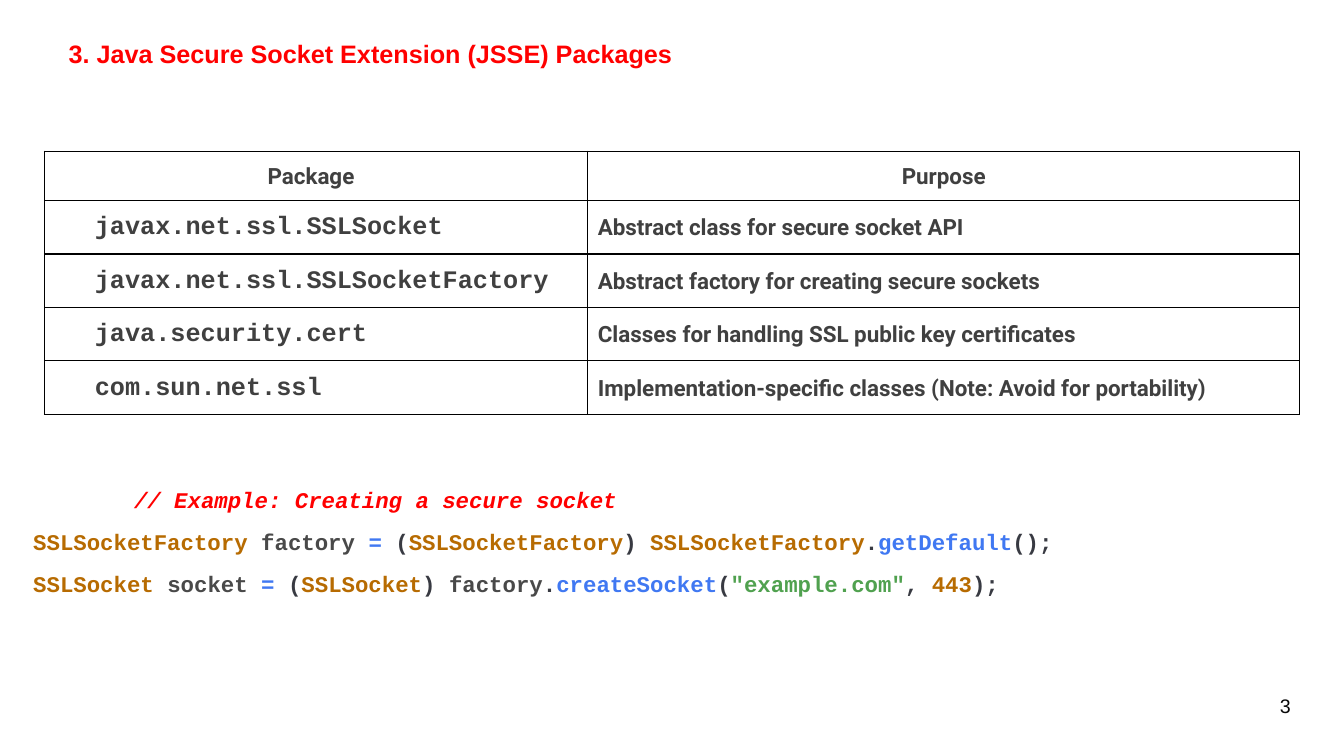
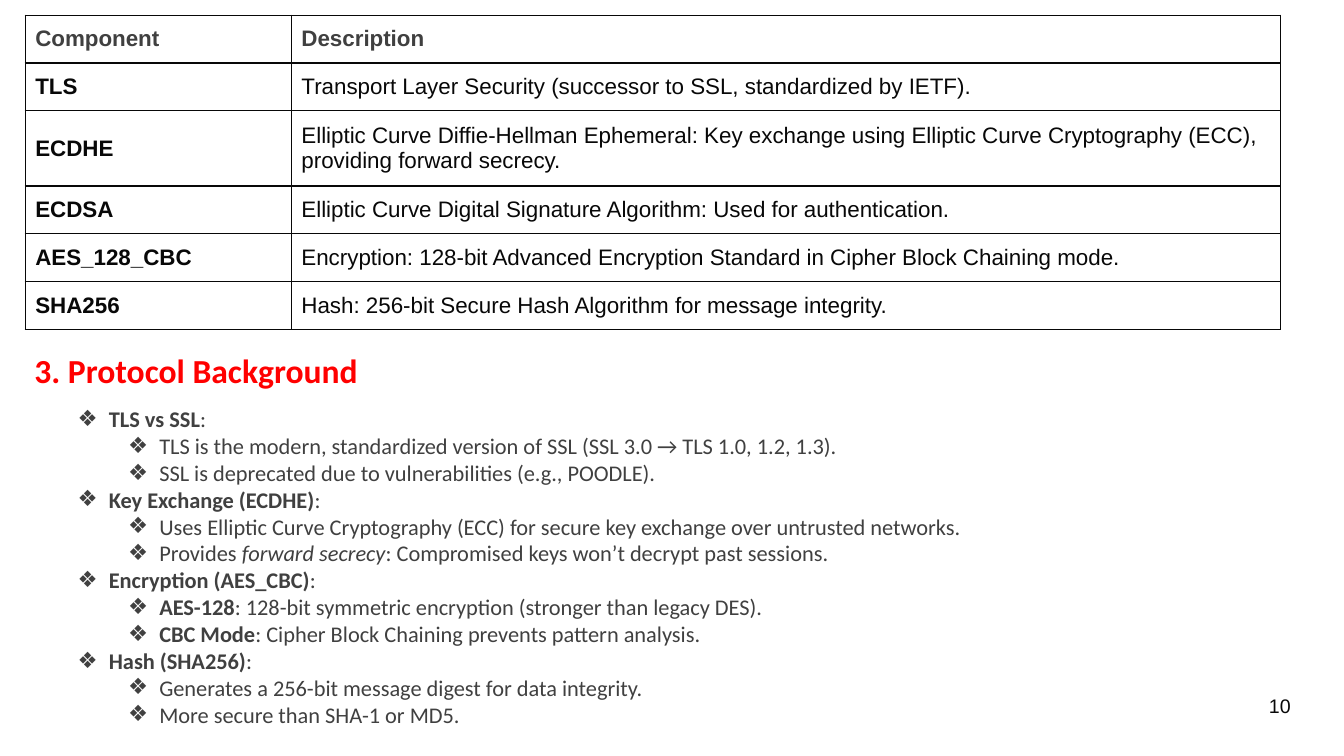
from lxml import etree
from pptx import Presentation
from pptx.dml.color import RGBColor
from pptx.enum import text
from pptx.oxml.ns import qn
from pptx.util import Inches, Pt

RED = RGBColor(0xFF, 0x00, 0x00)
BLACK = RGBColor(0x00, 0x00, 0x00)
INK = RGBColor(0x08, 0x08, 0x08)
GREY = RGBColor(0x40, 0x40, 0x40)
WHITE = RGBColor(0xFF, 0xFF, 0xFF)
TYPE = RGBColor(0xB7, 0x6B, 0x01)
NAME = RGBColor(0x49, 0x49, 0x49)
CALL = RGBColor(0x40, 0x78, 0xF2)
MARK = RGBColor(0x38, 0x3A, 0x42)
STRING = RGBColor(0x50, 0xA1, 0x4F)

PACKAGES = [
    ("Package", "Purpose"),
    ("javax.net.ssl.SSLSocket", "Abstract class for secure socket API"),
    ("javax.net.ssl.SSLSocketFactory", "Abstract factory for creating secure sockets"),
    ("java.security.cert", "Classes for handling SSL public key certificates"),
    ("com.sun.net.ssl", "Implementation-specific classes (Note: Avoid for portability)"),
]

CODE = [
    [("// Example: Creating a secure socket", RED)],
    [("SSLSocketFactory", TYPE), (" factory ", NAME), ("= ", CALL), ("(", MARK),
     ("SSLSocketFactory", TYPE), (") ", MARK), ("SSLSocketFactory", TYPE),
     (".", MARK), ("getDefault", CALL), ("();", MARK)],
    [("SSLSocket", TYPE), (" socket ", NAME), ("= ", CALL), ("(", MARK),
     ("SSLSocket", TYPE), (") ", MARK), ("factory", NAME), (".", MARK),
     ("createSocket", CALL), ("(", MARK), ('"example.com"', STRING), (", ", MARK),
     ("443", TYPE), (");", MARK)],
]

COMPONENTS = [
    ("Component", "Description"),
    ("TLS", "Transport Layer Security (successor to SSL, standardized by IETF)."),
    ("ECDHE", "Elliptic Curve Diffie-Hellman Ephemeral: Key exchange using Elliptic "
              "Curve Cryptography (ECC), providing forward secrecy."),
    ("ECDSA", "Elliptic Curve Digital Signature Algorithm: Used for authentication."),
    ("AES_128_CBC", "Encryption: 128-bit Advanced Encryption Standard in Cipher Block "
                    "Chaining mode."),
    ("SHA256", "Hash: 256-bit Secure Hash Algorithm for message integrity."),
]

# Each topic: its heading, then its points as (text, style) runs.
TOPICS = [
    ("TLS vs SSL", [
        [("TLS is the modern, standardized version of SSL (SSL 3.0 → TLS 1.0, 1.2, 1.3).", "")],
        [("SSL is deprecated due to vulnerabilities (e.g., POODLE).", "")]]),
    ("Key Exchange (ECDHE)", [
        [("Uses Elliptic Curve Cryptography (ECC) for secure key exchange over "
          "untrusted networks.", "")],
        [("Provides ", ""), ("forward secrecy", "i"),
         (": Compromised keys won’t decrypt past sessions.", "")]]),
    ("Encryption (AES_CBC)", [
        [("AES-128", "b"), (": 128-bit symmetric encryption (stronger than legacy DES).", "")],
        [("CBC Mode", "b"), (": Cipher Block Chaining prevents pattern analysis.", "")]]),
    ("Hash (SHA256)", [
        [("Generates a 256-bit message digest for data integrity.", "")],
        [("More secure than SHA-1 or MD5.", "")]]),
]


def set_font(font, name, size, color=None, bold=False, italic=False):
    font.name, font.size = name, Pt(size)
    font.bold, font.italic = bold, italic
    if color is not None:
        font.color.rgb = color


def place(sp, left, top, width, height):
    sp.left, sp.top = Inches(left), Inches(top)
    sp.width, sp.height = Inches(width), Inches(height)


def add_text_box(slide, left, top, width, height):
    sp = slide.shapes.add_textbox(*map(Inches, (left, top, width, height)))
    sp.text_frame.word_wrap = True
    return sp.text_frame


def set_title(slide, title, box, font, size):
    sp = slide.shapes.title
    place(sp, *box)
    tf = sp.text_frame
    tf.auto_size = text.MSO_AUTO_SIZE.NONE
    tf.vertical_anchor = text.MSO_ANCHOR.MIDDLE
    p = tf.paragraphs[0]
    p.text, p.alignment = title, text.PP_ALIGN.LEFT
    set_font(p.font, font, size, RED, bold=True)


def add_page_number(slide, number):
    p = add_text_box(slide, 9.56, 6.83, 3.34, 0.52).paragraphs[0]
    p.text, p.alignment = str(number), text.PP_ALIGN.RIGHT
    set_font(p.font, "Arial", 14, INK)


def set_borders(cell, color):
    tc_pr = cell._tc.get_or_add_tcPr()
    for side in ("lnL", "lnR", "lnT", "lnB"):
        ln = etree.SubElement(tc_pr, qn("a:" + side), w=str(Pt(1)))
        fill = etree.SubElement(ln, qn("a:solidFill"))
        etree.SubElement(fill, qn("a:srgbClr"), val=str(color))


def add_grid(slide, left, top, widths, heights, rows, border, style):
    """Add a bordered table; style(cell, paragraph, row, column) formats each cell."""
    frame = slide.shapes.add_table(
        len(rows), len(widths), Inches(left), Inches(top),
        Inches(sum(widths)), Inches(sum(heights)))
    table = frame.table
    table.first_row = table.horz_banding = False
    for column, width in zip(table.columns, widths):
        column.width = Inches(width)
    for i, (row, height) in enumerate(zip(rows, heights)):
        table.rows[i].height = Inches(height)
        for j, value in enumerate(row):
            cell = table.cell(i, j)
            set_borders(cell, border)
            cell.fill.solid()
            cell.fill.fore_color.rgb = WHITE
            cell.vertical_anchor = text.MSO_ANCHOR.MIDDLE
            cell.margin_left = cell.margin_right = Inches(0.1)
            cell.margin_top = cell.margin_bottom = Inches(0.1)
            p = cell.text_frame.paragraphs[0]
            p.text = value
            style(cell, p, i, j)


def style_package(cell, p, row, column):
    p.line_spacing = 1.07
    if column == 0:
        cell.margin_left = 0
    if row == 0:
        p.alignment = text.PP_ALIGN.CENTER
    elif column == 0:
        p._p.get_or_add_pPr().set("marL", str(Inches(0.5)))
    is_code = row > 0 and column == 0
    set_font(p.font, "Courier New" if is_code else "Roboto",
             18 if is_code else 16, GREY, bold=True)


def style_component(cell, p, row, column):
    set_font(p.font, "Arial", 16, INK if row else GREY, bold=row == 0 or column == 0)


def add_code(slide, left, top, width, height):
    tf = add_text_box(slide, left, top, width, height)
    tf.margin_left = tf.margin_right = tf.margin_top = tf.margin_bottom = 0
    for i, tokens in enumerate(CODE):
        p = tf.add_paragraph() if i else tf.paragraphs[0]
        is_comment = i == 0
        if is_comment:
            p._p.get_or_add_pPr().set("marL", str(Inches(1)))
        p.space_after = Pt(11)
        set_font(p.font, "Courier New", 16, bold=True, italic=is_comment)
        for token, color in tokens:
            r = p.add_run()
            r.text = token
            r.font.color.rgb = color


def add_bullet(p, level, runs):
    p.level = level
    p_pr = p._p.get_or_add_pPr()
    p_pr.set("marL", str(Inches(0.31 + 0.5 * level)))
    p_pr.set("indent", str(Inches(-0.31)))
    etree.SubElement(p_pr, qn("a:buChar"), char="❖")
    p.space_before = Pt(0)
    set_font(p.font, "Calibri", 16, GREY)
    for value, style in runs:
        r = p.add_run()
        r.text = value
        if style == "b":
            r.font.bold = True
        elif style == "i":
            r.font.italic = True


def fill_topics(slide, *box):
    sp = slide.placeholders[1]
    place(sp, *box)
    tf = sp.text_frame
    tf.auto_size = text.MSO_AUTO_SIZE.NONE
    lines = []
    for heading, points in TOPICS:
        lines.append((0, [(heading, "b"), (":", "")]))
        lines += [(1, runs) for runs in points]
    for i, (level, runs) in enumerate(lines):
        p = tf.add_paragraph() if i else tf.paragraphs[0]
        add_bullet(p, level, runs)


def build_packages(prs):
    slide = prs.slides.add_slide(prs.slide_layouts[5])
    set_title(slide, "3. Java Secure Socket Extension (JSSE) Packages",
              (0.58, 0.33, 6.6, 0.4), "Arial", 18)
    add_grid(slide, 0.44, 1.5, [5.39, 7.06], [0.49] + [0.53] * 4,
             PACKAGES, BLACK, style_package)
    add_code(slide, 0.33, 4.82, 11.83, 1.3)
    add_page_number(slide, 3)


def build_protocol(prs):
    slide = prs.slides.add_slide(prs.slide_layouts[1])
    add_grid(slide, 0.25, 0.15, [2.64, 9.81], [0.475, 0.475, 0.745] + [0.475] * 3,
             COMPONENTS, INK, style_component)
    set_title(slide, "3. Protocol Background", (0.24, 3.42, 4, 0.5), "Calibri", 24)
    fill_topics(slide, 0.67, 3.97, 10.5, 3.4)
    add_page_number(slide, 10)


def main():
    prs = Presentation()
    prs.slide_width, prs.slide_height = Inches(13.33), Inches(7.5)
    build_packages(prs)
    build_protocol(prs)
    prs.save("out.pptx")


if __name__ == "__main__":
    main()
